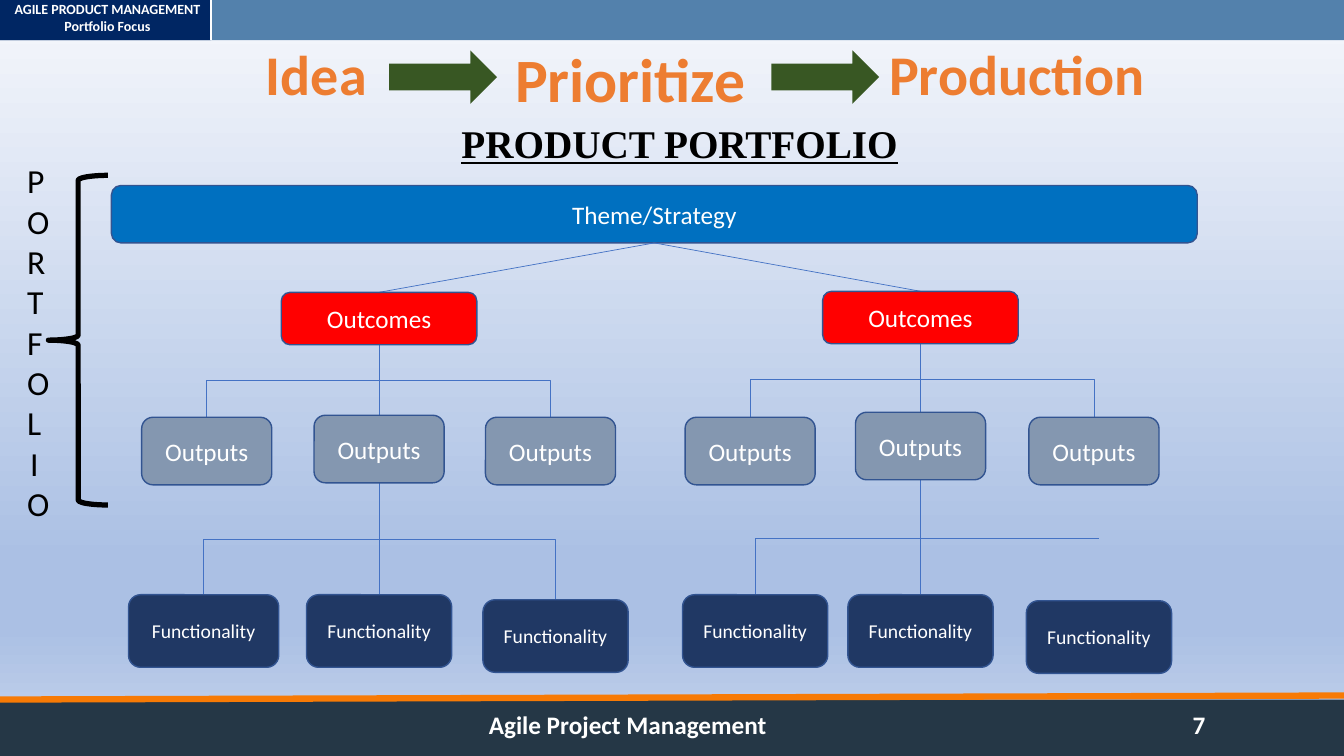
from lxml import etree
from pptx import Presentation
from pptx.dml.color import RGBColor
from pptx.enum.shapes import MSO_CONNECTOR, MSO_SHAPE
from pptx.enum.text import MSO_ANCHOR, PP_ALIGN
from pptx.oxml.ns import qn
from pptx.util import Inches, Pt

RECT, ROUND = MSO_SHAPE.RECTANGLE, MSO_SHAPE.ROUNDED_RECTANGLE
ARROW, BRACE = MSO_SHAPE.RIGHT_ARROW, MSO_SHAPE.LEFT_BRACE
STRAIGHT, ELBOW = MSO_CONNECTOR.STRAIGHT, MSO_CONNECTOR.ELBOW
LEFT, CENTER = PP_ALIGN.LEFT, PP_ALIGN.CENTER
TOP, MIDDLE = MSO_ANCHOR.TOP, MSO_ANCHOR.MIDDLE

WHITE, BLACK = RGBColor(255, 255, 255), RGBColor(0, 0, 0)
SLATE, NAVY = RGBColor(0x25, 0x37, 0x46), RGBColor(0x00, 0x26, 0x63)
STEEL, FLAME = RGBColor(0x53, 0x81, 0xAC), RGBColor(0xF7, 0x7A, 0x05)
ORANGE, GREEN = RGBColor(0xED, 0x7D, 0x31), RGBColor(0x38, 0x57, 0x23)
BLUE, RED = RGBColor(0x00, 0x70, 0xC0), RGBColor(0xFF, 0x00, 0x00)
GREY, DARK = RGBColor(0x84, 0x97, 0xB0), RGBColor(0x20, 0x38, 0x64)
EDGE, LINK = RGBColor(0x32, 0x54, 0x91), RGBColor(0x44, 0x72, 0xC4)
SKY = [(0, "F6F8FC"), (74, "ABC0E4"), (83, "ABC0E4"), (100, "C7D5ED")]

WIDE, HIGH = 13.33, 7.5
STEPS = [("Idea", 2.54, 0.11, 1.93, 1.32, 40, MIDDLE),
         ("Prioritize", 5.01, 0.44, 2.71, 0.67, 44, TOP),
         ("Production", 8.72, 0.11, 3.28, 1.32, 40, MIDDLE)]

# Each child: centre offset from the trunk, drop from the tree top, width
LEFT_TREE = {
    "outputs": [(-1.71, 1.24, 1.29), (0, 1.22, 1.29), (1.7, 1.24, 1.29)],
    "features": [(-1.74, 3, 1.49), (0, 3, 1.44), (1.75, 3.05, 1.44)]}
RIGHT_TREE = {
    "outputs": [(-1.69, 1.25, 1.29), (0, 1.2, 1.29), (1.72, 1.25, 1.29)],
    "features": [(-1.64, 3.01, 1.44), (0, 3.01, 1.44), (1.77, 3.07, 1.44)]}


def write(shape, text, size, color, align=CENTER, bold=False, anchor=MIDDLE):
    frame = shape.text_frame
    frame.text = text
    frame.word_wrap = True
    frame.vertical_anchor = anchor
    for para in frame.paragraphs:
        para.alignment = align
        font = para.font
        font.name, font.size, font.bold = "Calibri", Pt(size), bold
        font.color.rgb = color
    return frame


def label(slide, box, *args, **style):
    return write(slide.shapes.add_textbox(*map(Inches, box)), *args, **style)


def block(slide, kind, box, fill=None, edge=None, weight=1):
    shape = slide.shapes.add_shape(kind, *map(Inches, box))
    shape.shadow.inherit = False
    if fill is None:
        shape.fill.background()
    else:
        shape.fill.solid()
        shape.fill.fore_color.rgb = fill
    if edge is None:
        shape.line.fill.background()
    else:
        shape.line.color.rgb = edge
        shape.line.width = Pt(weight)
    return shape


def card(slide, mid, top, wide, high, text, fill, size=18):
    box = (mid - wide / 2, top, wide, high)
    write(block(slide, ROUND, box, fill, EDGE), text, size, WHITE)


def line(slide, x1, y1, x2, y2, color=LINK, weight=0.5, kind=STRAIGHT):
    link = slide.shapes.add_connector(kind, *map(Inches, (x1, y1, x2, y2)))
    link.line.color.rgb = color
    link.line.width = Pt(weight)
    etree.SubElement(link.element.spPr, qn("a:effectLst"))
    return link


def elbow(slide, x1, y1, x2, y2, bar):
    """Link that leaves downwards and turns at height bar."""
    drop, run = y2 - y1, abs(x2 - x1)
    left, top = (x1 + x2 - drop) / 2, (y1 + y2 - run) / 2
    link = line(slide, left, top, left + drop, top + run, kind=ELBOW)
    frame = link.element.spPr.find(qn("a:xfrm"))
    frame.set("rot", "5400000" if x2 < x1 else "16200000")
    if x2 > x1:
        frame.set("flipH", "1")
    shape = link.element.spPr.find(qn("a:prstGeom"))
    if bar == y2:
        shape.set("prst", "bentConnector2")
    else:
        share = round((bar - y1) / drop * 100000)
        etree.SubElement(shape.find(qn("a:avLst")), qn("a:gd"),
                         name="adj1", fmla=f"val {share}")


def backdrop(slide):
    fill = slide.background.fill
    fill.gradient()
    fill.gradient_angle = 270
    stops = slide.element.find(".//" + qn("a:gsLst"))
    for stop in list(stops):
        stops.remove(stop)
    for share, color in SKY:
        stop = etree.SubElement(stops, qn("a:gs"), pos=str(share * 1000))
        etree.SubElement(stop, qn("a:srgbClr"), val=color)


def header(slide, high=0.4, tag=2.09):
    block(slide, RECT, (0, 0, WIDE, high), STEEL)
    block(slide, RECT, (0, 0, tag, high), NAVY)
    frame = label(slide, (0.12, 0.01, tag - 0.2, high - 0.06),
                  "AGILE PRODUCT MANAGEMENT\vPortfolio Focus", 10, WHITE,
                  bold=True, anchor=TOP)
    frame.margin_left = frame.margin_right = 0
    frame.margin_top = frame.margin_bottom = 0
    line(slide, tag, 0, tag, high, WHITE, 1.5)


def footer(slide, top=6.94):
    block(slide, RECT, (0, top, WIDE, HIGH - top), SLATE)
    line(slide, 0, top, WIDE, top - 0.04, FLAME, 4.5)
    frame = label(slide, (2.75, top + 0.05, 10.31, 0.4),
                  "\tAgile Project Management\t7", 18, WHITE, LEFT, True, TOP)
    props = frame.paragraphs[0]._p.get_or_add_pPr()
    tabs = etree.Element(qn("a:tabLst"))
    props.insert(0, tabs)
    for stop in (2, 8.98):
        etree.SubElement(tabs, qn("a:tab"), pos=str(Inches(stop)), algn="l")


def steps(slide):
    for text, x, y, wide, high, size, anchor in STEPS:
        frame = label(slide, (x, y, wide, high), text, size, ORANGE, LEFT,
                      True, anchor)
        frame.paragraphs[0].line_spacing = 0.9
    for x in (3.86, 7.65):
        block(slide, ARROW, (x, 0.5, 1.07, 0.53), GREEN)


def heading(slide):
    title = slide.shapes.title
    title.left, title.top = Inches(2.7), Inches(1.13)
    title.width, title.height = Inches(8.08), Inches(0.57)
    frame = write(title, "PRODUCT PORTFOLIO", 28, BLACK, bold=True)
    font = frame.paragraphs[0].font
    font.name, font.underline = "Times New Roman", True


def tree(slide, trunk, top, outputs, features, loose=False):
    """Outcome with its outputs and features; loose leaves the last link open."""
    high, deep = 0.52, 0.67
    foot = top + high
    base = top + outputs[1][1] + deep
    bar = top + 2.45
    for mid, drop, _ in outputs:
        if mid:
            elbow(slide, trunk, foot, trunk + mid, top + drop, top + 0.87)
        else:
            line(slide, trunk, foot, trunk, top + drop)
    for mid, drop, _ in features:
        if not mid:
            line(slide, trunk, base, trunk, top + drop)
        elif loose and mid > 0:
            elbow(slide, trunk, base - deep, trunk + mid, bar, bar)
        else:
            elbow(slide, trunk, base, trunk + mid, top + drop, bar)
    card(slide, trunk, top, 1.94, high, "Outcomes", RED)
    for mid, drop, wide in outputs:
        card(slide, trunk + mid, top + drop, wide, deep, "Outputs", GREY)
    for mid, drop, wide in features:
        card(slide, trunk + mid, top + drop, wide, 0.72, "Functionality",
             DARK, 14)


def chart(slide, mid=6.49, top=1.84, high=0.57):
    card(slide, mid, top, 10.77, high, "Theme/Strategy", BLUE)
    for trunk, head, parts, loose in ((3.76, 2.9, LEFT_TREE, False),
                                      (9.13, 2.89, RIGHT_TREE, True)):
        line(slide, mid, top + high, trunk, head)
        tree(slide, trunk, head, **parts, loose=loose)


def side(slide):
    block(slide, BRACE, (0.48, 1.74, 0.59, 3.27), edge=BLACK, weight=3.75)
    label(slide, (0.17, 1.54, 0.34, 3.74), "PORTFOLIO", 24, BLACK, anchor=TOP)


def main():
    deck = Presentation()
    deck.slide_width, deck.slide_height = Inches(WIDE), Inches(HIGH)
    slide = deck.slides.add_slide(deck.slide_layouts[5])
    for part in (backdrop, footer, header, steps, chart, heading, side):
        part(slide)
    deck.save("out.pptx")


if __name__ == "__main__":
    main()
